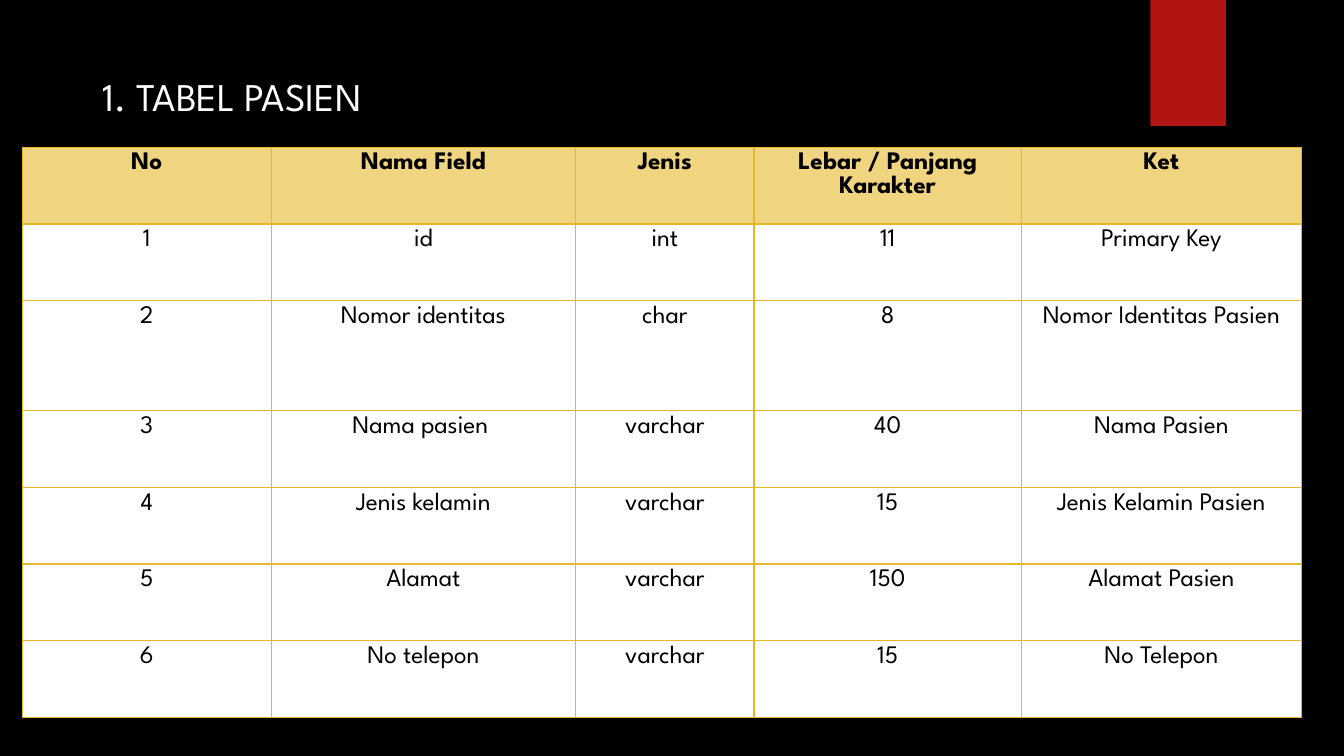
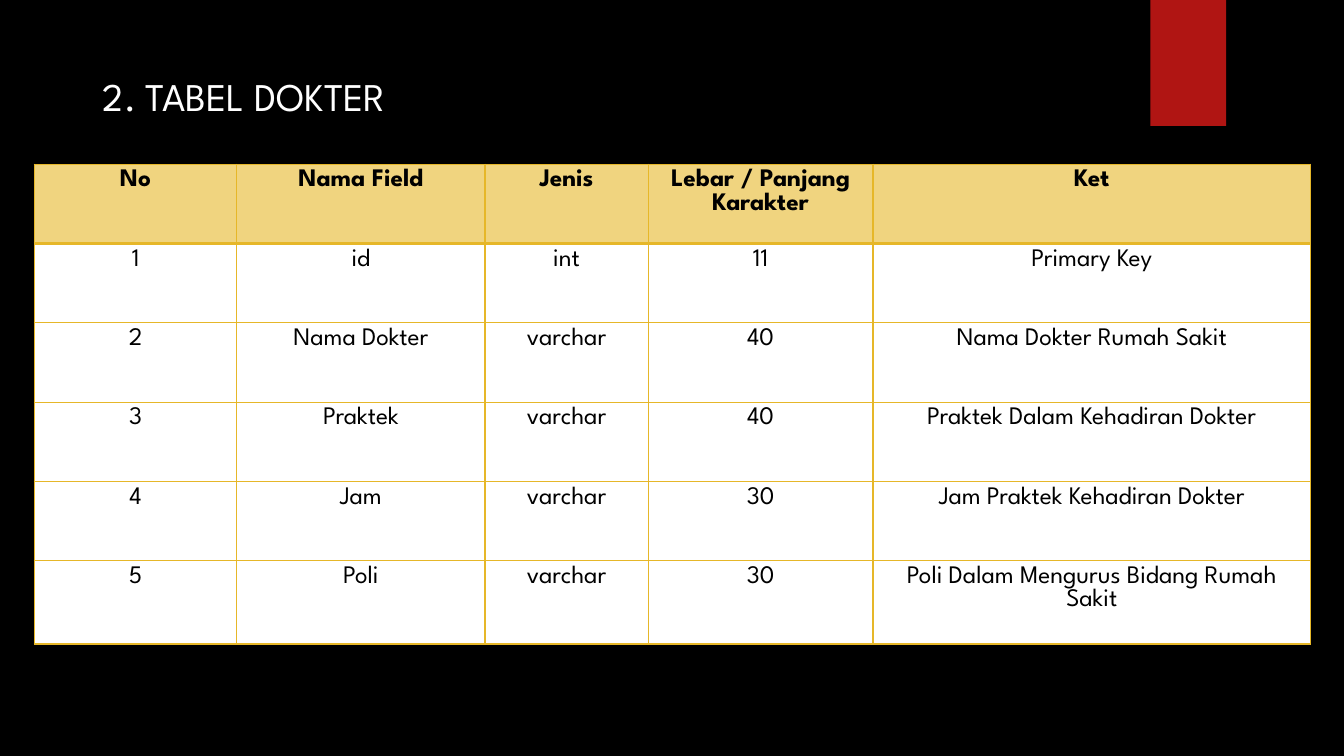
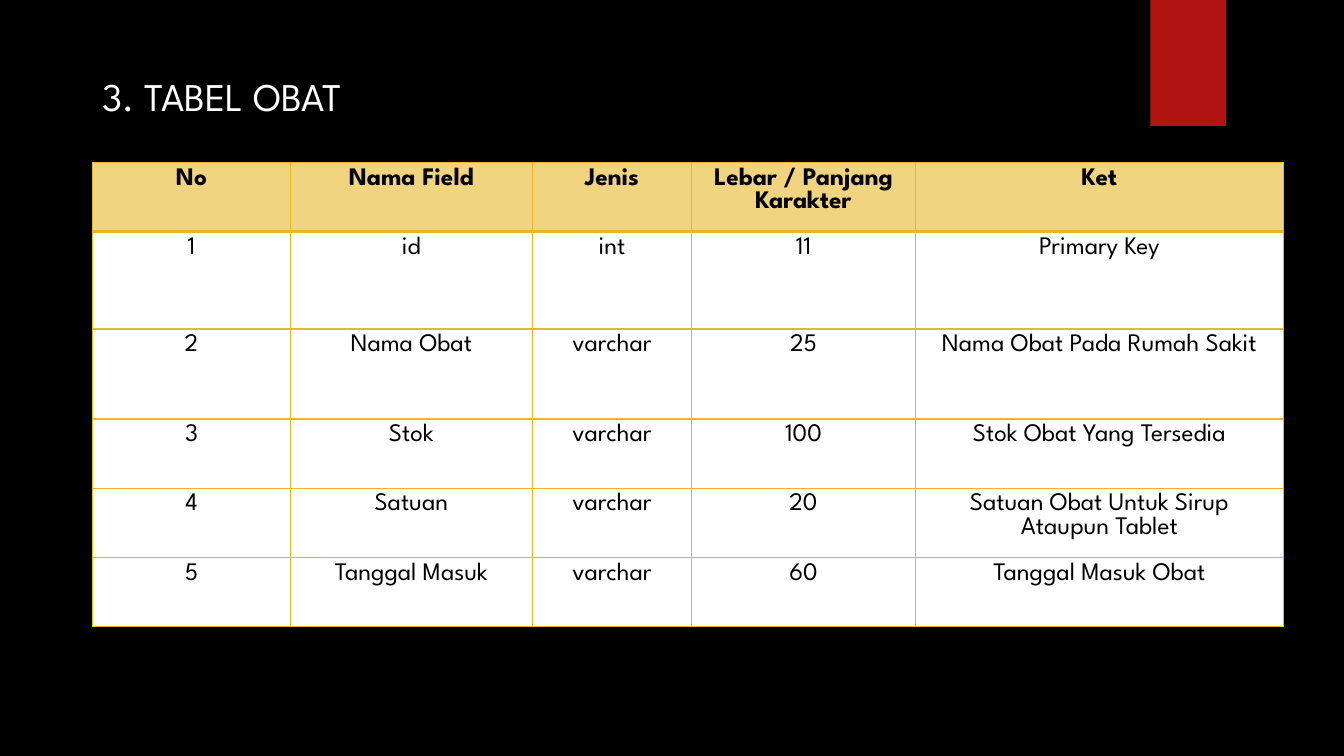
"""Build three slides that describe the tables of a hospital database."""
from dataclasses import dataclass

from lxml.etree import SubElement
from pptx import Presentation
from pptx.dml.color import RGBColor as RGB
from pptx.enum.shapes import MSO_SHAPE as SHAPE
from pptx.enum.text import MSO_ANCHOR as ANCHOR, MSO_AUTO_SIZE as AUTO, PP_ALIGN as ALIGN
from pptx.oxml.ns import qn
from pptx.util import Inches, Pt


@dataclass(frozen=True)
class Theme:
    font: str = "League Spartan"
    title_size: int = 28
    cell_size: int = 18
    back: str = "000000"
    title: str = "FFFFFF"
    band: str = "B01513"
    head: str = "F0D47F"
    cell: str = "FFFFFF"
    ink: str = "000000"
    rule: str = "E6B729"
    thin: float = 1
    thick: float = 2


HEADINGS = ("No", "Nama Field", "Jenis", "Lebar / Panjang Karakter", "Ket")

TABLES = (
    dict(
        title="1. TABEL PASIEN",
        box=(1.65, 19.47, 95.2, 75.47),
        cols=(2.47, 3.02, 1.77, 2.65, 2.78),
        rows=(0.76, 0.76, 1.09, 0.76, 0.76, 0.76, 0.76),
        fields=(
            ("id", "int", "11", "Primary Key"),
            ("Nomor identitas", "char", "8", "Nomor Identitas Pasien"),
            ("Nama pasien ", "varchar", "40", "Nama Pasien"),
            ("Jenis kelamin", "varchar", "15", "Jenis Kelamin Pasien"),
            ("Alamat", "varchar", "150", "Alamat Pasien"),
            ("No telepon", "varchar", "15", "No Telepon"),
        ),
    ),
    dict(
        title="2. TABEL DOKTER",
        box=(2.55, 21.73, 94.97, 63.47),
        cols=(2.01, 2.46, 1.62, 2.23, 4.34),
        rows=(0.79, 0.79, 0.79, 0.79, 0.79, 0.83),
        fields=(
            ("id", "int", "11", "Primary Key"),
            ("Nama Dokter", "varchar", "40", "Nama Dokter Rumah Sakit"),
            ("Praktek", "varchar", "40", "Praktek Dalam Kehadiran Dokter"),
            ("Jam", "varchar", "30", "Jam Praktek Kehadiran Dokter"),
            ("Poli", "varchar", "30", "Poli Dalam Mengurus Bidang Rumah Sakit"),
        ),
    ),
    dict(
        title="3. TABEL OBAT",
        box=(6.9, 21.47, 88.6, 61.47),
        cols=(1.96, 2.4, 1.58, 2.22, 3.65),
        rows=(0.67, 0.94, 0.87, 0.67, 0.67, 0.67),
        fields=(
            ("id", "int", "11", "Primary Key"),
            ("Nama Obat", "varchar", "25", "Nama Obat Pada Rumah Sakit"),
            ("Stok", "varchar", "100", "Stok Obat Yang Tersedia"),
            ("Satuan", "varchar", "20", "Satuan Obat Untuk Sirup Ataupun Tablet"),
            ("Tanggal Masuk", "varchar", "60", "Tanggal Masuk Obat"),
        ),
    ),
)


class Deck:
    """Hold the style and the current slide; boxes are percentages of the slide."""

    def __init__(self, theme):
        self.theme = theme
        self.prs = Presentation()
        self.prs.slide_width, self.prs.slide_height = Inches(13.33), Inches(7.5)
        self.fill(self.prs.slide_master.background, theme.back)
        self.s = None

    def fill(self, target, color):
        """Give a shape, cell or background a solid fill."""
        target.fill.solid()
        target.fill.fore_color.rgb = RGB.from_string(color)

    def place(self, box):
        """Turn percentages into left, top, width and height."""
        sides = (self.prs.slide_width, self.prs.slide_height) * 2
        return [int(side * share / 100) for side, share in zip(sides, box)]

    def style_text(self, p, text, size, color, align, bold=False):
        """Fill a paragraph with text in one style."""
        p.text, p.alignment = text, align
        p.font.name, p.font.size, p.font.bold = self.theme.font, Pt(size), bold
        p.font.color.rgb = RGB.from_string(color)

    def slide(self, title):
        """Start a slide with its band and title."""
        self.s = self.prs.slides.add_slide(self.prs.slide_layouts[5])
        self.band()
        self.title(title)

    def band(self):
        """Draw the ribbon at the top right."""
        sp = self.s.shapes.add_shape(SHAPE.RECTANGLE, *self.place((85.6, 0, 5.63, 16.67)))
        sp.shadow.inherit = False
        self.fill(sp, self.theme.band)
        sp.line.fill.background()

    def title(self, text):
        """Move and format the title placeholder."""
        sp = self.s.shapes.title
        sp.left, sp.top, sp.width, sp.height = self.place((6.9, 8.93, 72.39, 12.53))
        tf = sp.text_frame
        tf.word_wrap, tf.auto_size, tf.vertical_anchor = True, AUTO.NONE, ANCHOR.TOP
        p = tf.paragraphs[0]
        self.style_text(p, text, self.theme.title_size, self.theme.title, ALIGN.LEFT)
        p.space_before = Pt(10)

    def borders(self, cell, top, bottom):
        """Rule the four sides of a cell."""
        thin = self.theme.thin
        for side, width in zip("LRTB", (thin, thin, top, bottom)):
            ln = SubElement(cell._tc.get_or_add_tcPr(), qn(f"a:ln{side}"), w=str(Pt(width)))
            SubElement(SubElement(ln, qn("a:solidFill")), qn("a:srgbClr"), val=self.theme.rule)

    def table(self, box, cols, rows, fields):
        """Add a numbered table of fields below the shared headings."""
        t = self.theme
        left, top, width, height = self.place(box)
        tbl = self.s.shapes.add_table(len(rows), len(cols), left, top, width, height).table
        for col, share in zip(tbl.columns, cols):
            col.width = int(width * share / sum(cols))
        for row, share in zip(tbl.rows, rows):
            row.height = int(height * share / sum(rows))
        numbered = [(str(n), *field) for n, field in enumerate(fields, 1)]
        for i, texts in enumerate([HEADINGS, *numbered]):
            head = i == 0
            for j, text in enumerate(texts):
                cell = tbl.cell(i, j)
                self.borders(cell, t.thick if i == 1 else t.thin, t.thick if head else t.thin)
                self.fill(cell, t.head if head else t.cell)
                p = cell.text_frame.paragraphs[0]
                self.style_text(p, text, t.cell_size, t.ink, ALIGN.CENTER, head)


def main():
    """Build and save the deck."""
    deck = Deck(Theme())
    for data in TABLES:
        deck.slide(data["title"])
        deck.table(data["box"], data["cols"], data["rows"], data["fields"])
    deck.prs.save("out.pptx")


if __name__ == "__main__":
    main()
